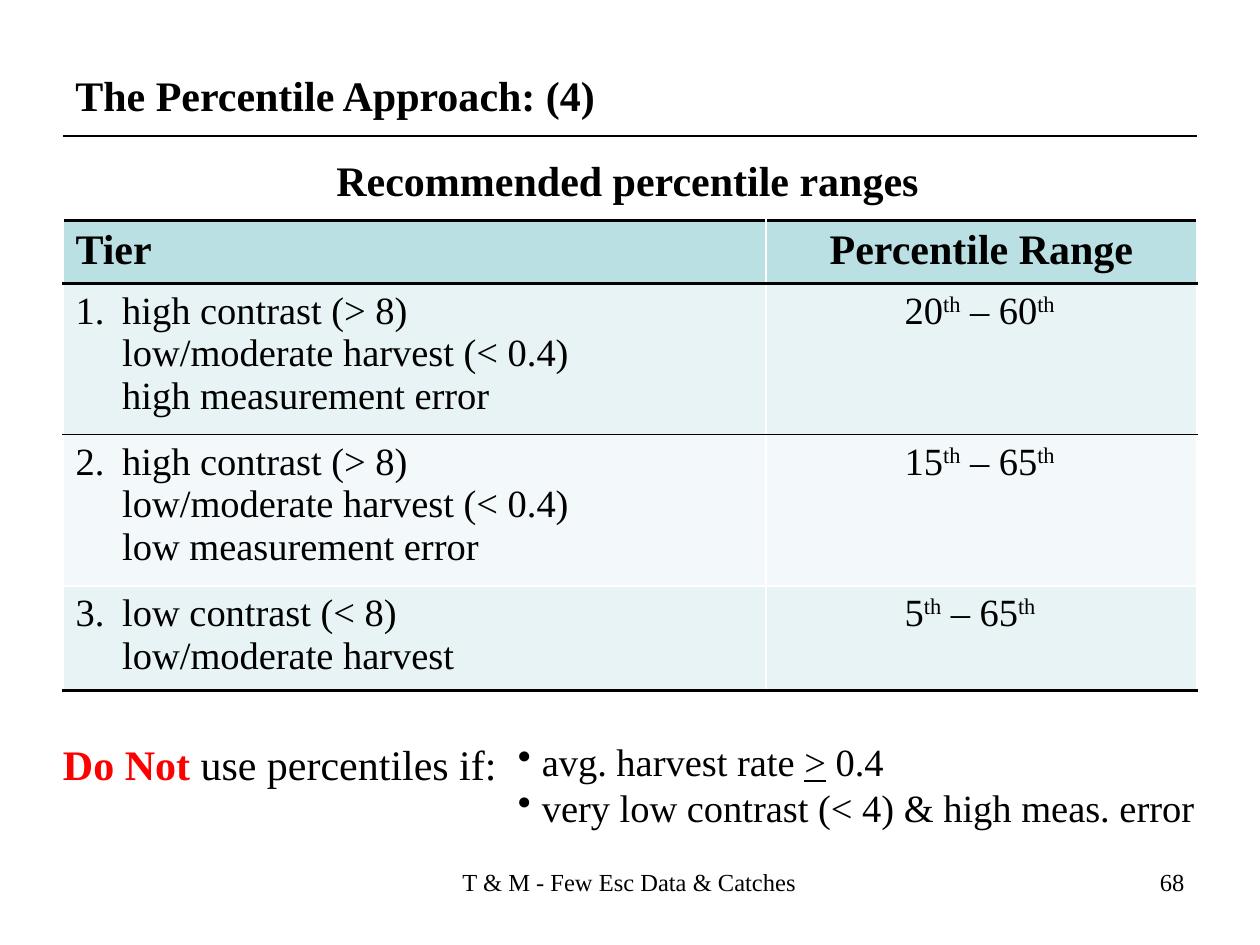
from pptx import Presentation
from pptx.util import Inches, Pt
from pptx.dml.color import RGBColor
from pptx.enum.shapes import MSO_CONNECTOR as Link
from pptx.enum.text import PP_ALIGN as Align, MSO_AUTO_SIZE as Auto
from pptx.oxml.ns import qn
from lxml.etree import SubElement as Sub


def tint(code):
    return RGBColor.from_string(code)


def put(frame, text, size=22, bold=False, color="000000", align=Align.LEFT,
        left=0, hang=0, num=0, dot=False, space=None):
    """Add a paragraph; text is a string or a list of (string, format) runs."""
    par = frame.paragraphs[0]
    if par.runs:
        par = frame.add_paragraph()
    par.alignment = align
    if space:
        par.line_spacing = space
    props = par._p.get_or_add_pPr()
    props.set("marL", str(Inches(left)))
    props.set("indent", str(Inches(-hang)))
    if num:
        Sub(props, qn("a:buAutoNum"), type="arabicPeriod", startAt=str(num))
    elif dot:
        Sub(props, qn("a:buChar"), char="•")
    for words, form in [(text, {})] if isinstance(text, str) else text:
        run = par.add_run()
        run.text = words
        font = run.font
        font.name = "Times New Roman"
        font.size = Pt(size)
        font.bold = form.get("bold", bold)
        font.underline = form.get("under", False)
        font.color.rgb = tint(form.get("color", color))
        if form.get("sup"):
            run._r.get_or_add_rPr().set("baseline", "30000")


deck = Presentation()
deck.slide_width, deck.slide_height = Inches(10), Inches(7.5)
slide = deck.slides.add_slide(deck.slide_layouts[6])

# Table grid
tiers = [
    (["high contrast (> 8)", "low/moderate harvest (< 0.4)",
      "high measurement error"], "20", "60"),
    (["high contrast (> 8)", "low/moderate harvest (< 0.4)",
      "low measurement error"], "15", "65"),
    (["low contrast (< 8)", "low/moderate harvest"], "5", "65"),
]
grid = slide.shapes.add_table(4, 2, Inches(0.5), Inches(1.75),
                              Inches(9), Inches(3.73)).table
for col, wide in zip(grid.columns, (5.58, 3.42)):
    col.width = Inches(wide)
for row, high in zip(grid.rows, (0.5, 1.2, 1.2, 0.83)):
    row.height = Inches(high)

# Cell borders and fills
black, thin, white = ("000000", 1.5), ("000000", 1), ("FFFFFF", 1)
rules = [black, black, thin, white, black]
fills = ["BBE0E3", "E7F3F4", "F3F9FA", "E7F3F4"]
for i, fill in enumerate(fills):
    for cell in grid.rows[i].cells:
        props = cell._tc.get_or_add_tcPr()
        sides = {"L": white, "R": white, "T": rules[i], "B": rules[i + 1]}
        for side, (code, wide) in sides.items():
            edge = Sub(props, qn("a:ln" + side), w=str(Pt(wide)))
            Sub(Sub(edge, qn("a:solidFill")), qn("a:srgbClr"), val=code)
        cell.fill.solid()
        cell.fill.fore_color.rgb = tint(fill)

# Table text
put(grid.cell(0, 0).text_frame, "Tier", size=24, bold=True)
put(grid.cell(0, 1).text_frame, "Percentile Range", size=24, bold=True,
    align=Align.CENTER)
sup = {"sup": True}
for i, (lines, low, high) in enumerate(tiers, 1):
    for j, line in enumerate(lines):
        first = j == 0
        put(grid.cell(i, 0).text_frame, line, left=0.37,
            hang=0.37 if first else 0, num=i if first else 0)
    put(grid.cell(i, 1).text_frame,
        [(low, {}), ("th", sup), (" – " + high, {}), ("th", sup)], left=1)

# Text boxes: place, inset, wrap, paragraphs, format
warn = [("Do Not", {"bold": True, "color": "FF0000"}),
        (" use percentiles if:", {})]
rate = [("avg. harvest rate ", {}), (">", {"under": True}), (" 0.4", {})]
boxes = [
    ((0.5, 0.5, 4.36, 0.5), True, False, ["The Percentile Approach: (4)"],
     dict(size=24, bold=True)),
    ((2.67, 1.11, 4.67, 0.47), False, False,
     ["Recommended percentile ranges"],
     dict(size=24, bold=True, space=1.3)),
    ((0.5, 5.86, 3.5, 0.4), False, True, [warn], dict(size=24)),
    ((3.86, 5.86, 5.89, 0.74), False, True,
     [rate, "very low contrast (< 4) & high meas. error"],
     dict(left=0.44, hang=0.19, dot=True)),
    ((3.56, 6.83, 2.87, 0.34), True, False,
     ["T & M - Few Esc Data & Catches"],
     dict(size=14, align=Align.CENTER)),
    ((7.17, 6.83, 2.33, 0.52), True, True, ["68"],
     dict(size=14, align=Align.RIGHT)),
]
for place, inset, wrap, pars, form in boxes:
    frame = slide.shapes.add_textbox(*map(Inches, place)).text_frame
    frame.word_wrap = wrap
    frame.auto_size = Auto.NONE
    if not inset:
        frame.margin_left = frame.margin_right = 0
        frame.margin_top = frame.margin_bottom = 0
    for text in pars:
        put(frame, text, **form)

# Rule under the title
rule = slide.shapes.add_connector(Link.STRAIGHT, Inches(0.5), Inches(1.08),
                                  Inches(9.5), Inches(1.08))
rule.line.color.rgb = tint("000000")
rule.line.width = Pt(0.75)
Sub(rule._element.spPr, qn("a:effectLst"))

deck.save("out.pptx")
